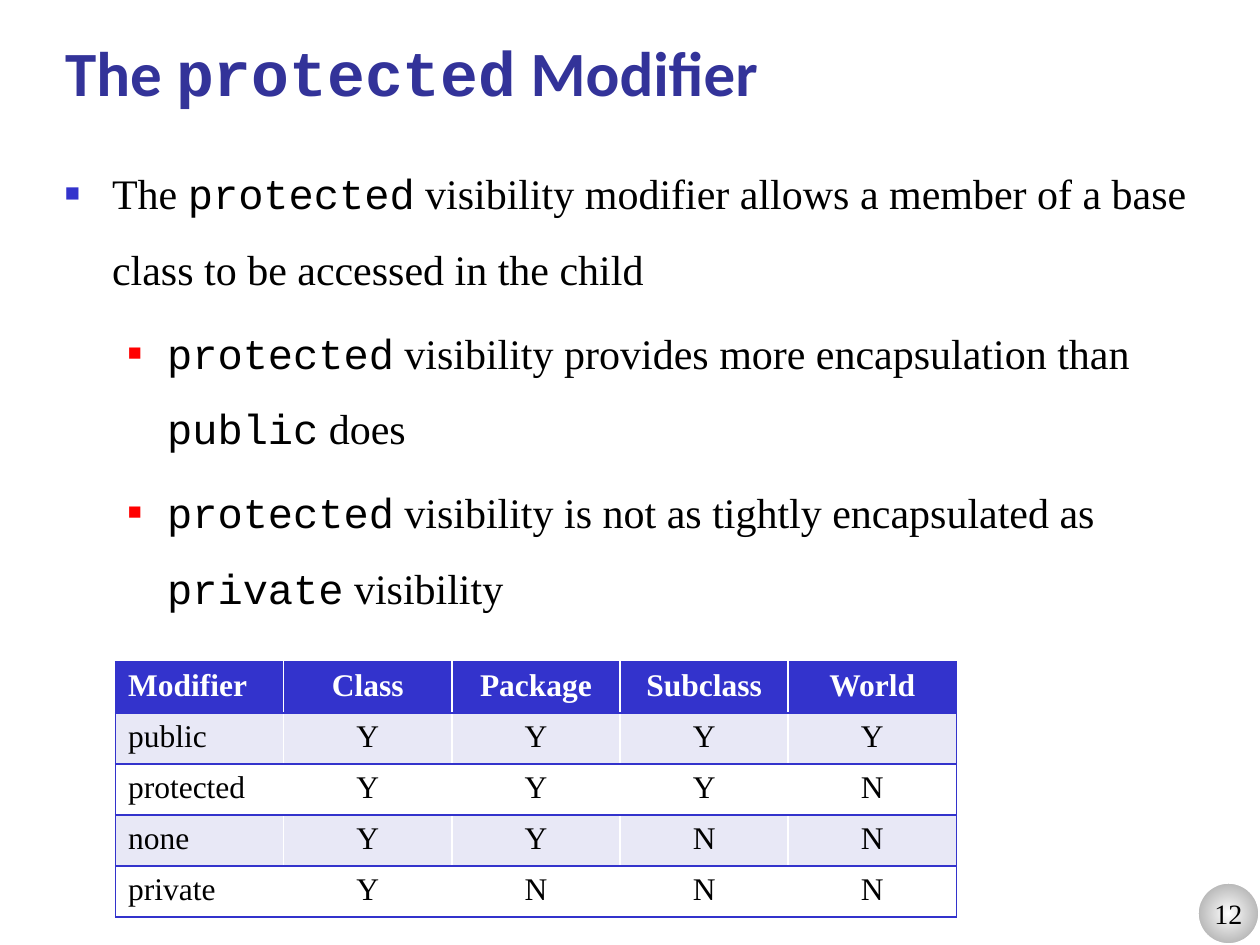
"""Build a slide on the protected modifier with a table of access levels."""
import dataclasses

import lxml.etree
import pptx
import pptx.dml.color
import pptx.enum.shapes
import pptx.enum.text
import pptx.oxml.ns
import pptx.util

Cm = pptx.util.Cm
Pt = pptx.util.Pt
Align = pptx.enum.text.PP_ALIGN
Anchor = pptx.enum.text.MSO_ANCHOR
qn = pptx.oxml.ns.qn


def rgb(code):
    return pptx.dml.color.RGBColor.from_string(code)


def add(parent, tag, **attrs):
    node = lxml.etree.SubElement(parent, qn(tag))
    for key, value in attrs.items():
        node.set(key, str(value))
    return node


@dataclasses.dataclass
class Theme:
    head: str = "Calibri"
    body: str = "Times New Roman"
    code: str = "Courier New"
    title: str = "333399"
    blue: str = "3333CC"
    red: str = "FF0000"
    band: str = "E8E8F6"
    gray: str = "979797"
    white: str = "FFFFFF"
    black: str = "000000"
    big: int = 36
    text: int = 24
    cell: int = 18
    small: int = 16


@dataclasses.dataclass
class Page:
    theme: Theme
    slide: object

    def label(self, para, text, face, size, color, bold=False, align=Align.LEFT):
        para.alignment = align
        font = para.font
        font.name, font.size, font.bold = face, Pt(size), bold
        font.color.rgb = rgb(color)
        for index, part in enumerate(text.split("`")):
            if part:
                run = para.add_run()
                run.text = part
                if index % 2:
                    run.font.name = self.theme.code

    def title(self, text, left, top, width, height):
        look = self.theme
        shape = self.slide.shapes.title
        shape.left, shape.top, shape.width, shape.height = left, top, width, height
        frame = shape.text_frame
        frame.vertical_anchor = Anchor.BOTTOM
        self.label(frame.paragraphs[0], text, look.head, look.big, look.title, True)

    def bullets(self, items, left, top, width, height):
        look = self.theme
        levels = [(0.95, 0.95, look.blue, 60), (2.06, 0.79, look.red, 55)]
        frame = self.slide.shapes.add_textbox(left, top, width, height).text_frame
        frame.word_wrap = True
        for index, (level, text) in enumerate(items):
            para = frame.add_paragraph() if index else frame.paragraphs[0]
            margin, hang, color, scale = levels[level]
            para.level = level
            props = para._p.get_or_add_pPr()
            props.set("marL", str(Cm(margin)))
            props.set("indent", str(-Cm(hang)))
            add(add(props, "a:buClr"), "a:srgbClr", val=color)
            add(props, "a:buSzPct", val=scale * 1000)
            add(props, "a:buFont", typeface=look.body)
            add(props, "a:buChar", char="■")
            para.line_spacing = 1.5
            para.space_before = Pt(4.8)
            self.label(para, text, look.body, look.text, look.black)

    def table(self, rows, left, top, wide, high):
        look = self.theme
        last = len(rows[0]) - 1
        grid = self.slide.shapes.add_table(
            len(rows), last + 1, left, top, wide * (last + 1), high * len(rows)).table
        for column in grid.columns:
            column.width = wide
        for r, row in enumerate(rows):
            grid.rows[r].height = high
            fill = look.blue if r == 0 else look.band if r % 2 else look.white
            color = look.white if r == 0 else look.black
            for c, text in enumerate(row):
                cell = grid.cell(r, c)
                sides = "L" * (c == 0) + "R" * (c == last) + "TB"
                self.border(cell, sides)
                cell.fill.solid()
                cell.fill.fore_color.rgb = rgb(fill)
                self.label(cell.text_frame.paragraphs[0], text, look.body, look.cell,
                           color, r == 0, Align.CENTER if c else Align.LEFT)

    def border(self, cell, sides):
        props = cell._tc.get_or_add_tcPr()
        for side in sides:
            line = add(props, "a:ln" + side, w=Pt(1))
            add(add(line, "a:solidFill"), "a:srgbClr", val=self.theme.blue)

    def badge(self, text, left, top, size):
        look = self.theme
        shape = self.slide.shapes.add_shape(
            pptx.enum.shapes.MSO_SHAPE.OVAL, left, top, size, size)
        shape.shadow.inherit = False
        shape.line.color.rgb = rgb(look.white)
        shape.line.width = Pt(2)
        shape.fill.gradient()
        for stop, place, color in zip(
                shape.fill.gradient_stops, (0, 1), (look.white, look.gray)):
            stop.position = place
            stop.color.rgb = rgb(color)
        grad = shape._element.spPr.find(qn("a:gradFill"))
        grad.remove(grad.find(qn("a:lin")))
        mid = dict.fromkeys("ltrb", 50000)
        add(add(grad, "a:path", path="circle"), "a:fillToRect", **mid)
        frame = shape.text_frame
        frame.word_wrap = False
        frame.vertical_anchor = Anchor.MIDDLE
        self.label(frame.paragraphs[0], text, look.body, look.small, look.black,
                   align=Align.CENTER)


deck = pptx.Presentation()
deck.slide_width, deck.slide_height = Cm(25.4), Cm(19.05)
page = Page(Theme(), deck.slides.add_slide(deck.slide_layouts[5]))

page.badge("12", Cm(24.13), Cm(17.78), Cm(1.27))
page.title("The `protected` Modifier", Cm(1.06), Cm(0.64), Cm(23.3), Cm(1.69))
page.bullets([
    (0, "The `protected` visibility modifier allows a member of a base class "
        "to be accessed in the child"),
    (1, "`protected` visibility provides more encapsulation than `public` does"),
    (1, "`protected` visibility is not as tightly encapsulated as "
        "`private` visibility"),
], Cm(1.06), Cm(2.75), Cm(23.3), Cm(15.24))
page.table([
    ["Modifier", "Class", "Package", "Subclass", "World"],
    ["public", *"YYYY"],
    ["protected", *"YYYN"],
    ["none", *"YYNN"],
    ["private", *"YNNN"],
], Cm(2.33), Cm(13.34), Cm(3.39), Cm(1.03))

deck.save("out.pptx")
